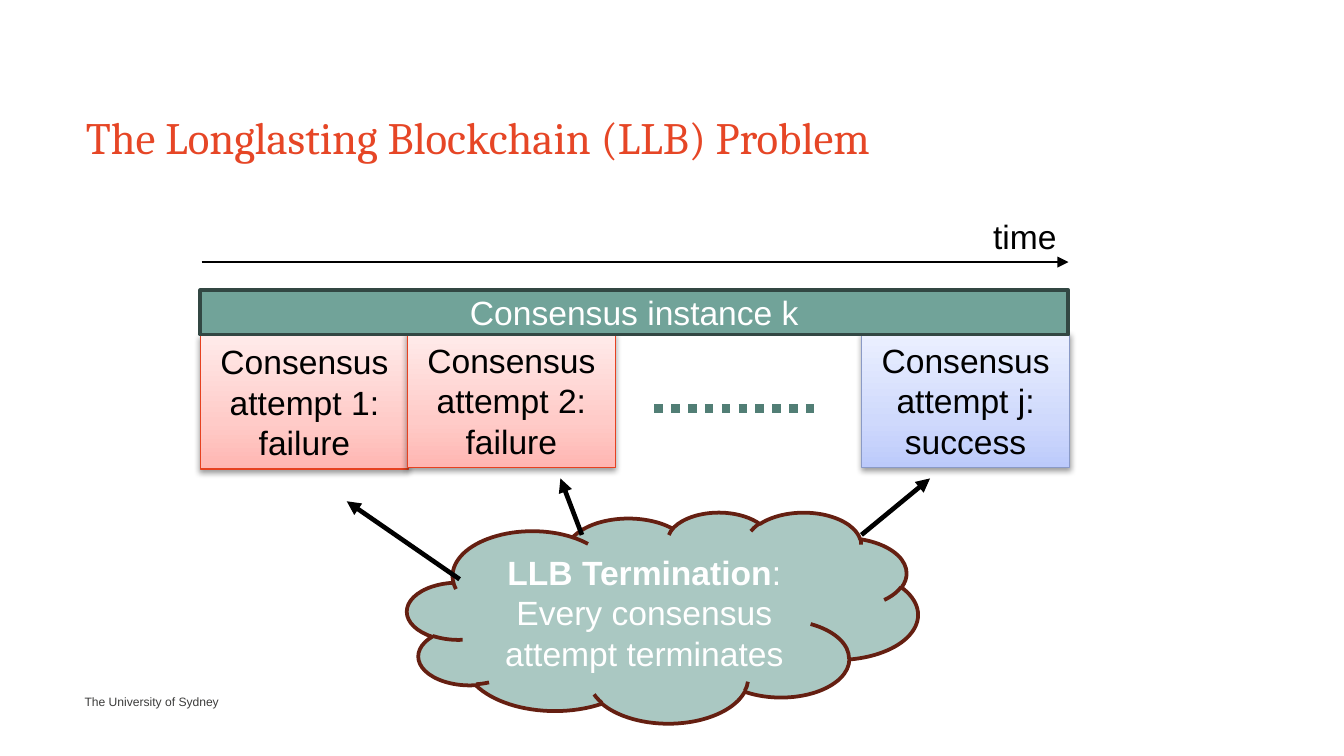
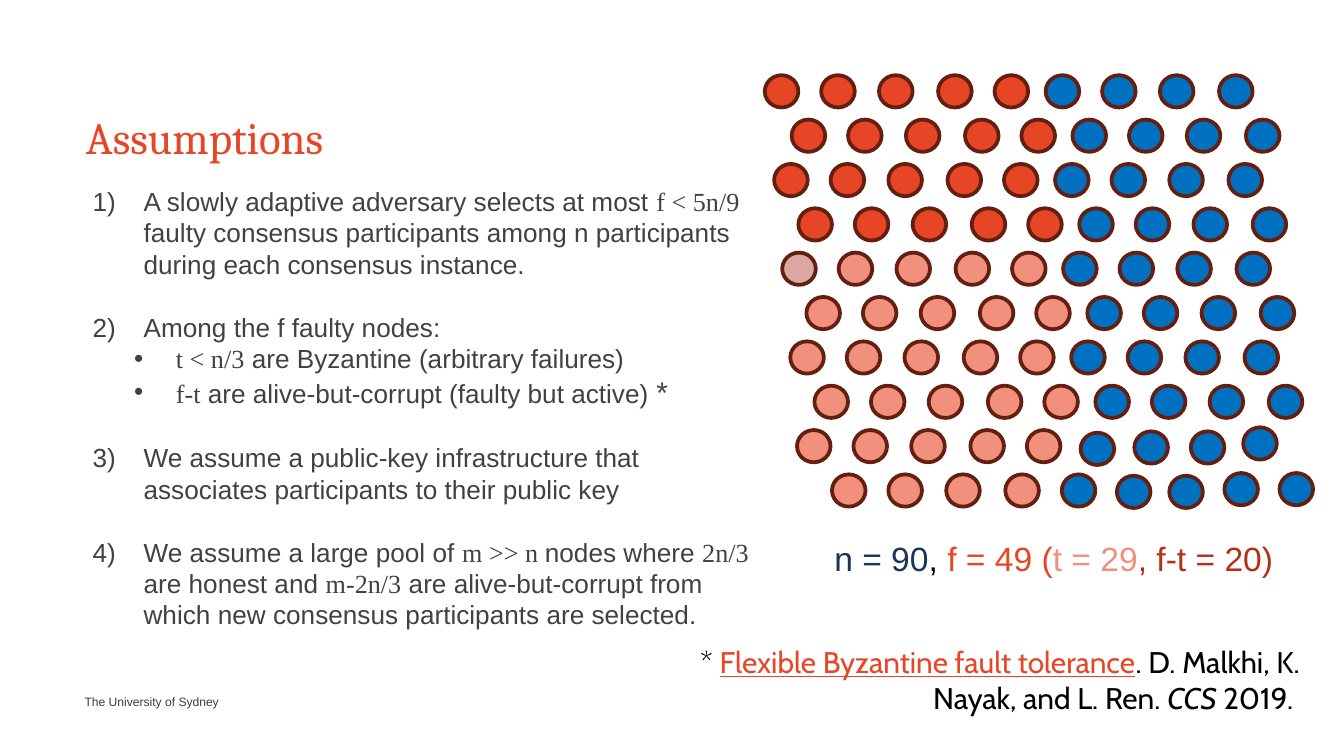
from lxml.etree import SubElement
from pptx import Presentation
from pptx.dml.color import RGBColor
from pptx.enum.dml import MSO_LINE
from pptx.enum.shapes import MSO_CONNECTOR, MSO_SHAPE
from pptx.enum.text import MSO_ANCHOR, MSO_AUTO_SIZE, PP_ALIGN
from pptx.oxml.ns import qn
from pptx.util import Inches, Pt

COLORS = {
    "title": "E64626", "footer": "3C3C3B", "body": "414141",
    "black": "000000", "white": "FFFFFF",
    "bar": "71A399", "bar_edge": "324743", "dots": "517E75",
    "cloud": "AAC8C2", "dark_red": "651F11",
    "failure_edge": "E64120", "success_edge": "8A9AC6",
    "corrupt": "E64626", "byzantine": "F0907D", "pale": "DAA8A2",
    "honest": "0070C0", "navy": "1A345E", "brick": "B42F15",
}
GRADIENTS = {
    "failure": [(0, "FFB6B2"), (35, "FFCBC8"), (100, "FFEBEA")],
    "success": [(0, "BCCAFB"), (35, "CFD9FC"), (100, "EBF0FF")],
}
FOOTER = "The University of Sydney"
MATH = {"font": "Times New Roman"}

ATTEMPTS = [
    ("Consensus attempt 1: failure", "failure", 1.49, 2.49),
    ("Consensus attempt j: success", "success", 6.41, 2.48),
    ("Consensus attempt 2: failure", "failure", 3.03, 2.48),
]
CLOUD_ARROWS = [
    ((6.41, 3.98), (6.92, 3.56)),
    ((4.33, 3.98), (4.17, 3.56)),
    ((3.42, 4.31), (2.58, 3.73)),
]

# Each assumption: list marker (a number or a bullet), then its runs.
ASSUMPTIONS = [
    (1, [("A slowly adaptive adversary selects at most ", {}), ("f < 5n/9 ", MATH),
         ("faulty consensus participants among n participants "
          "during each consensus instance.", {})]),
    (2, [("Among the f faulty nodes:", {})]),
    ("•", [("t < n/3", MATH), (" are Byzantine (arbitrary failures)", {})]),
    ("•", [("f-t", MATH), (" are alive-but-corrupt (faulty but active) ", {}),
           ("*", {"size": 16})]),
    (3, [("We assume a public-key infrastructure that associates participants "
          "to their public key", {})]),
    (4, [("We assume a large pool of ", {}), ("m >> n ", MATH), ("nodes where ", {}),
         ("2n/3", MATH), (" are honest and ", {}), ("m-2n/3", MATH),
         (" are alive-but-corrupt from which new consensus participants "
          "are selected.", {})]),
]
COUNTS = [
    ("n = 90", {"color": "navy"}), (", ", {}), ("f = 49 (", {"color": "corrupt"}),
    ("t = 29", {"color": "byzantine"}), (", f-t = 20)", {"color": "brick"}),
]
CITATION = [
    ("* ", {}),
    ("Flexible Byzantine fault tolerance", {"color": "title", "underline": True}),
    (". D. Malkhi, K. Nayak, and L. Ren. ", {}), ("CCS ", {"italic": True}), ("2019. ", {}),
]

NODE_ROW_LEFTS = [5.69, 5.89, 5.76, 5.94, 5.82, 6, 5.88, 6.06, 5.93, 6.19]
NODE_TOP, NODE_ROW_STEP = 0.56, 0.33
NODE_OFFSETS = [0, 0.42, 0.85, 1.29, 1.71]
HONEST_SHIFT = 2.09
# The last two rows of honest nodes are scattered by hand.
LOOSE_HONEST = [
    (8.04, 3.22), (8.44, 3.21), (8.86, 3.21), (9.25, 3.18),
    (7.9, 3.53), (8.31, 3.54), (8.7, 3.54), (9.11, 3.52), (9.52, 3.52),
]


def rgb(name):
    return RGBColor.from_string(COLORS[name])


def add_runs(para, runs, size=18, font="Arial", color="black"):
    """Fill a paragraph; runs is a string or (text, changes) pairs."""
    if isinstance(runs, str):
        runs = [(runs, {})]
    for text, changes in runs:
        style = {"size": size, "font": font, "color": color, **changes}
        span = para.add_run()
        span.text = text
        span.font.size = Pt(style["size"])
        span.font.name = style["font"]
        span.font.color.rgb = rgb(style["color"])
        for flag in ("bold", "italic", "underline"):
            if flag in style:
                setattr(span.font, flag, style[flag])


def add_text(page, area, runs, align=PP_ALIGN.LEFT, wrap=True, margins=None, **style):
    box = page.shapes.add_textbox(*map(Inches, area))
    frame = box.text_frame
    frame.word_wrap = wrap
    frame.auto_size = MSO_AUTO_SIZE.SHAPE_TO_FIT_TEXT
    if margins:
        (frame.margin_left, frame.margin_top,
         frame.margin_right, frame.margin_bottom) = map(Inches, margins)
    frame.paragraphs[0].alignment = align
    add_runs(frame.paragraphs[0], runs, **style)


def add_block(page, kind, area, fill, edge, width=2, runs=None, **style):
    block = page.shapes.add_shape(kind, *map(Inches, area))
    block.shadow.inherit = False
    if fill:
        block.fill.solid()
        block.fill.fore_color.rgb = rgb(fill)
    block.line.color.rgb = rgb(edge)
    block.line.width = Pt(width)
    if runs:
        frame = block.text_frame
        frame.word_wrap = True
        frame.vertical_anchor = MSO_ANCHOR.MIDDLE
        frame.paragraphs[0].alignment = PP_ALIGN.CENTER
        add_runs(frame.paragraphs[0], runs, **style)
    return block


def add_color(parent, value):
    return SubElement(parent, qn("a:srgbClr"), val=value)


def shade_block(block, stops):
    """Give a block an upward gradient and a soft shadow below."""
    block.fill.gradient()
    block.fill.gradient_angle = 90
    stop_list = block.element.spPr.find(".//" + qn("a:gsLst"))
    for stop in list(stop_list):
        stop_list.remove(stop)
    for percent, value in stops:
        add_color(SubElement(stop_list, qn("a:gs"), pos=str(percent * 1000)), value)
    effects = block.element.spPr.find(qn("a:effectLst"))
    shadow = SubElement(effects, qn("a:outerShdw"), blurRad=str(Pt(3.1)),
                        dist=str(Pt(1.6)), dir="5400000", rotWithShape="0")
    SubElement(add_color(shadow, COLORS["black"]), qn("a:alpha"), val="38000")


def add_line(page, start, end, color="black", width=2.5, arrow=True, dash=None):
    line = page.shapes.add_connector(MSO_CONNECTOR.STRAIGHT, *map(Inches, start + end))
    line.line.color.rgb = rgb(color)
    line.line.width = Pt(width)
    if dash:
        line.line.dash_style = dash
    if arrow:
        outline = line.element.spPr.find(qn("a:ln"))
        SubElement(outline, qn("a:tailEnd"), type="triangle")
    SubElement(line.element.spPr, qn("a:effectLst"))


def add_marker(para, marker):
    """Number or bullet a paragraph with a hanging indent."""
    numbered = isinstance(marker, int)
    left, hang = (0.38, 0.38) if numbered else (0.62, 0.31)
    props = para._p.get_or_add_pPr()
    props.set("marL", str(Inches(left)))
    props.set("indent", str(-Inches(hang)))
    add_color(SubElement(props, qn("a:buClr")), COLORS["body"])
    SubElement(props, qn("a:buFont"), typeface="Arial")
    if numbered:
        SubElement(props, qn("a:buAutoNum"), type="arabicParenR", startAt=str(marker))
    else:
        props.set("lvl", "1")
        SubElement(props, qn("a:buChar"), char=marker)


def new_page(deck, title):
    page = deck.slides.add_slide(deck.slide_layouts[6])
    add_text(page, (0.63, 0.81, 8.74, 0.42), title, margins=(0.01, 0.01, 0, 0),
             size=24, font="Cambria", color="title")
    add_text(page, (0.62, 5.17, 1.03, 0.13), FOOTER, margins=(0.01, 0, 0, 0),
             size=6.5, color="footer")
    return page


def build_problem(deck):
    page = new_page(deck, "The Longlasting Blockchain (LLB) Problem")
    add_line(page, (1.5, 1.95), (7.95, 1.95), width=0.75)
    add_text(page, (7.29, 1.56, 0.68, 0.4), "time", wrap=False)
    for label, outcome, left, top in ATTEMPTS:
        block = add_block(page, MSO_SHAPE.RECTANGLE, (left, top, 1.55, 1), None,
                          outcome + "_edge", 0.75, label)
        shade_block(block, GRADIENTS[outcome])
    add_line(page, (4.87, 3.04), (6.12, 3.04), "dots", 4.5, arrow=False,
             dash=MSO_LINE.ROUND_DOT)
    add_block(page, MSO_SHAPE.RECTANGLE, (1.49, 2.16, 6.46, 0.33), "bar", "bar_edge",
              runs="Consensus instance k", color="white")
    add_block(page, MSO_SHAPE.CLOUD, (3.03, 3.81, 3.8, 1.57), "cloud", "dark_red",
              runs=[("LLB Termination", {"bold": True}),
                    (": Every consensus attempt terminates", {})], color="white")
    for start, end in CLOUD_ARROWS:
        add_line(page, start, end)


def add_assumptions(page):
    box = page.shapes.add_textbox(*map(Inches, (0.59, 1.33, 5.11, 3.29)))
    frame = box.text_frame
    frame.word_wrap = True
    for index, (marker, runs) in enumerate(ASSUMPTIONS):
        para = frame.add_paragraph() if index else frame.paragraphs[0]
        add_marker(para, marker)
        if index and isinstance(marker, int):
            para.space_before = Pt(17)
        add_runs(para, runs, size=14, color="body")


def node_places():
    """Yield left, top and colour name of all 90 nodes."""
    last = len(NODE_ROW_LEFTS) - 1
    for row, row_left in enumerate(NODE_ROW_LEFTS):
        top = NODE_TOP + row * NODE_ROW_STEP
        faulty = NODE_OFFSETS[:4] if row == last else NODE_OFFSETS
        for column, offset in enumerate(faulty):
            color = "corrupt" if row < 4 else "byzantine"
            if (row, column) == (4, 0):
                color = "pale"
            yield row_left + offset, top, color
        if row < last - 1:
            for offset in NODE_OFFSETS[:4]:
                yield row_left + HONEST_SHIFT + offset, top, "honest"
    for left, top in LOOSE_HONEST:
        yield left, top, "honest"


def build_assumptions(deck):
    page = new_page(deck, "Assumptions")
    add_assumptions(page)
    for left, top, color in node_places():
        add_block(page, MSO_SHAPE.OVAL, (left, top, 0.25, 0.24), color, "dark_red")
    add_text(page, (6.11, 3.95, 3.5, 0.4), COUNTS, wrap=False)
    add_text(page, (4.77, 4.74, 5, 0.64), CITATION, align=PP_ALIGN.RIGHT,
             size=16, font="Cabin")


def main():
    deck = Presentation()
    deck.slide_width = Inches(10)
    deck.slide_height = deck.slide_width * 9 // 16
    build_problem(deck)
    build_assumptions(deck)
    deck.save("out.pptx")


if __name__ == "__main__":
    main()
